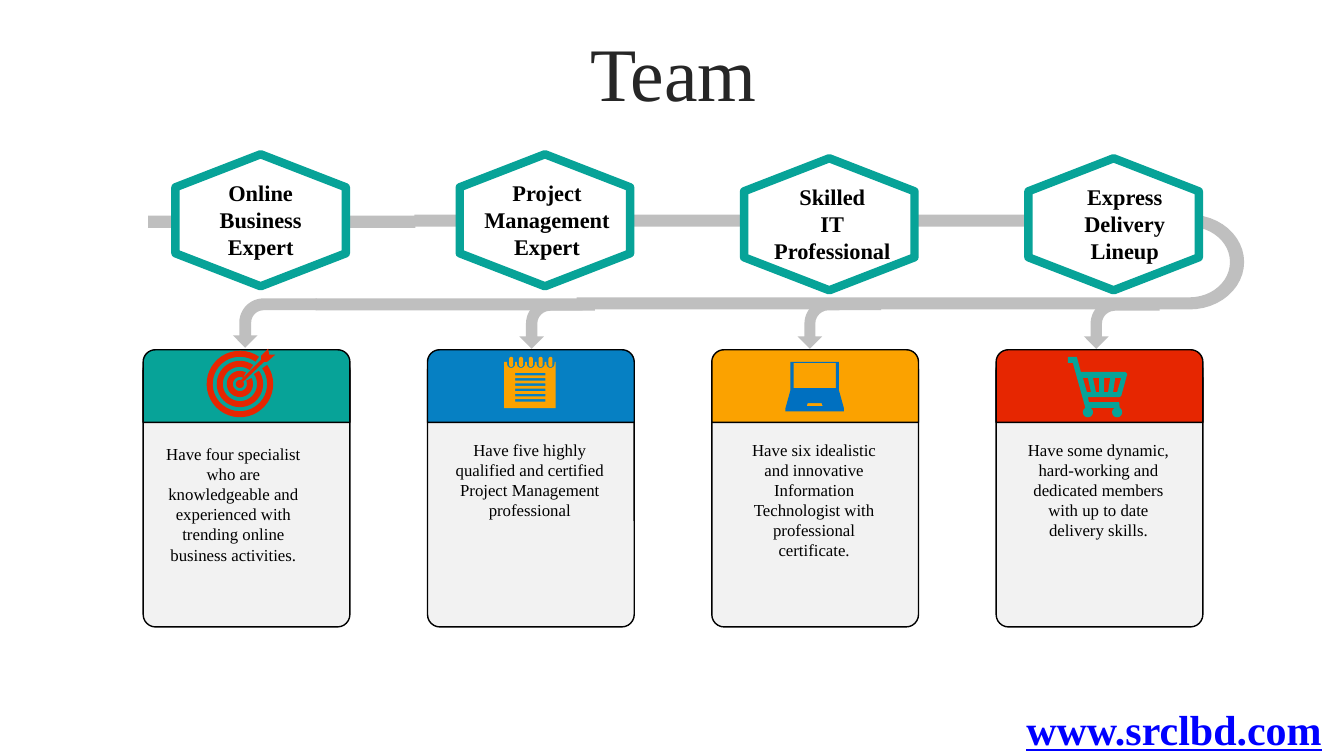
"""Build the Team slide: four roles on a ribbon that feeds four cards."""
import math

from pptx import Presentation, util as u
from pptx.dml.color import RGBColor
from pptx.enum import shapes, text

FONT = "Times New Roman"
COLORS = dict(teal="07A398", blue="0680C3", amber="FBA200", red="E62601",
              navy="0070C0", grey="BFBFBF", pale="F2F2F2", white="FFFFFF",
              black="000000", title="262626", link="0000FF")
PITCH = 2.82
CARD_LEFT, CARD_TOP, CARD_W, CARD_H, HEAD_H = 1.42, 3.47, 2.05, 2.75, 0.72
HEX_LEFT, HEX_W, HEX_H = 1.74, 1.69, 1.31
BAND = 0.12


def rgb(name):
    """Return the named colour."""
    return RGBColor.from_string(COLORS[name])


def paint(sp, fill, line=None, width=1):
    """Set a shape's fill and outline and drop its shadow."""
    sp.shadow.inherit = False
    sp.fill.solid()
    sp.fill.fore_color.rgb = rgb(fill)
    if line:
        sp.line.color.rgb = rgb(line)
        sp.line.width = u.Pt(width)
    else:
        sp.line.fill.background()
    return sp


def preset(s, kind, x, y, w, h, fill, line=None, width=1, adj=()):
    """Add a preset shape in the given box."""
    sp = s.shapes.add_shape(kind, *map(u.Inches, (x, y, w, h)))
    for i, value in enumerate(adj):
        sp.adjustments[i] = value
    return paint(sp, fill, line, width)


def outline(s, x, y, contours, fill, line=None):
    """Draw closed contours whose points are relative to x, y."""
    fb = None
    for contour in contours:
        start, *rest = [(u.Inches(x + a), u.Inches(y + b)) for a, b in contour]
        if fb is None:
            fb = s.shapes.build_freeform(*start, scale=1.0)
        else:
            fb.move_to(*start)
        fb.add_line_segments(rest, close=True)
    return paint(fb.convert_to_shape(), fill, line)


def arc(cx, cy, rx, ry, a0, a1, n=24):
    """Return points on an ellipse between two angles in degrees."""
    angles = [math.radians(a0 + (a1 - a0) * i / n) for i in range(n + 1)]
    return [(cx + rx * math.cos(a), cy + ry * math.sin(a)) for a in angles]


def rect(x, y, w, h):
    """Return the corners of a rectangle."""
    return [(x, y), (x + w, y), (x + w, y + h), (x, y + h)]


def label(s, x, y, w, h, lines, size, color="black", bold=None,
          align=text.PP_ALIGN.CENTER):
    """Add a wrapped text box with one paragraph per line."""
    tf = s.shapes.add_textbox(*map(u.Inches, (x, y, w, h))).text_frame
    tf.word_wrap = True
    tf.auto_size = text.MSO_AUTO_SIZE.SHAPE_TO_FIT_TEXT
    tf.text = lines
    for p in tf.paragraphs:
        p.alignment = align
        p.font.name, p.font.size, p.font.bold = FONT, u.Pt(size), bold
        p.font.color.rgb = rgb(color)
    return tf


def target():
    """Return the contours of a target hit by an arrow."""
    cx, cy = 0.33, 0.35
    rings = [arc(cx, cy, r, r, gap - 45, 315 - gap, 40)
             + arc(cx, cy, r - 0.06, r - 0.06, 315 - gap, gap - 45, 40)
             for r, gap in ((0.33, 10), (0.23, 10), (0.13, 18))]
    arrow = [(0.61, 0), (0.62, 0.06), (0.68, 0.06), (0.6, 0.13), (0.57, 0.13),
             (0.36, 0.33), *arc(cx, cy, 0.04, 0.04, -20, 285),
             (0.54, 0.11), (0.54, 0.07)]
    return rings + [arrow]


def notepad():
    """Return the contours of a ring-bound notepad."""
    edge, pills = [(0, 0.05)], []
    for i in range(5):
        x = 0.07 + 0.0975 * i
        edge += [(x - 0.04, 0.05), *arc(x, 0.07, 0.04, 0.04, 180, 0),
                 (x + 0.04, 0.05)]
        pills.append(arc(x, 0.02, 0.02, 0.02, 180, 360, 8)
                     + arc(x, 0.08, 0.02, 0.02, 0, 180, 8))
    edge += [(0.51, 0.05), (0.51, 0.51), (0, 0.51)]
    rules = [rect(0.11, 0.16 + 0.052 * i, 0.3, 0.025) for i in range(6)]
    return [edge] + rules + pills


def laptop():
    """Return the contours of a laptop."""
    body = [(0.05, 0), (0.53, 0), (0.53, 0.28), (0.58, 0.46), (0.58, 0.49),
            (0, 0.49), (0, 0.46), (0.05, 0.28)]
    pad = [(0.22, 0.41), (0.36, 0.41), (0.37, 0.44), (0.21, 0.44)]
    return [body, rect(0.08, 0.01, 0.42, 0.25), pad]


def cart():
    """Return the contours of a shopping cart."""
    body = [(0, 0), (0.09, 0), (0.13, 0.15), (0.57, 0.15), (0.59, 0.17),
            (0.53, 0.39), (0.51, 0.4), (0.2, 0.4), (0.21, 0.45), (0.51, 0.45),
            *arc(0.49, 0.55, 0.05, 0.05, -60, 240),
            *arc(0.2, 0.55, 0.05, 0.05, -60, 240), (0.05, 0.06), (0, 0.06)]
    slots = [(0.15, 0.2, 0.19, 0.23), (0.25, 0.31, 0.28, 0.31),
             (0.36, 0.42, 0.36, 0.4), (0.47, 0.53, 0.45, 0.49)]
    return [body] + [[(a, 0.21), (b, 0.21), (d, 0.35), (c, 0.35)]
                     for a, b, c, d in slots]


ROLES = [
    ("Online Business Expert", 1.53, 0, "teal", target, "red", (0.63, -0.01),
     "Have four specialist who are knowledgeable and experienced with "
     "trending online business activities.", (0.05, 0.88, 1.31)),
    ("Project Management Expert", 1.53, 0.02, "blue", notepad, "amber",
     (0.76, 0.07), "Have five highly qualified and certified Project "
     "Management professional", (0.17, 0.84, 0.91)),
    ("Skilled\nIT\nProfessional", 1.57, 0.03, "amber", laptop, "navy",
     (0.73, 0.12), "Have six idealistic and innovative Information "
     "Technologist with professional certificate.", (0.17, 0.84, 1.31)),
    ("Express Delivery Lineup", 1.57, 0.11, "red", cart, "teal", (0.71, 0.07),
     "Have some dynamic, hard-working and dedicated members with up to date "
     "delivery skills.", (0.17, 0.84, 1.11)),
]
ARROWS = [(2.48, 2.79, 0.83, 0.24), (5.28, 2.84, 0.75, 0.23),
          (8.08, 2.8, 0.83, 0.22), (10.88, 2.84, 0.75, 0.23)]


def ribbon(s, x, y, w, h):
    """Draw the band that turns back at the right, and its four arrows."""
    for left, top in ((1.47, 2.14), (3.13, 2.96)):
        preset(s, shapes.MSO_SHAPE.RECTANGLE, left, top, 2.65, BAND, "grey")
    rx, ry = 0.54, h / 2
    turn = w - rx
    band = [(0, 0), *arc(turn, ry, rx, ry, -90, 90), (1.61, h),
            (1.61, h - BAND), *arc(turn, ry, rx - 0.14, ry - BAND, 90, -90),
            (0, BAND)]
    outline(s, x, y, [band], "grey")
    for left, top, length, thick in ARROWS:
        sp = preset(s, shapes.MSO_SHAPE.BENT_ARROW, left, top, 0.49, length,
                    "grey", adj=(thick, 0.25, 0.25, 0.49))
        sp.rotation = 270
        sp.element.spPr.xfrm.set("flipH", "1")


def hexagon(s, x, y, role, shift):
    """Draw a pointed-top hexagon with its role."""
    inset = (HEX_W - HEX_H) / 2
    sp = preset(s, shapes.MSO_SHAPE.HEXAGON, x + inset, y - inset, HEX_H,
                HEX_W, "white", "teal", 6)
    sp.rotation = 270
    label(s, x + shift, y + 0.2, HEX_W, 0.91, role, 16, bold=True)


def card(s, x, y, color, icon, icon_color, icon_at, words, words_at):
    """Draw a card with a coloured head, an icon and a description."""
    preset(s, shapes.MSO_SHAPE.ROUNDED_RECTANGLE, x, y + 0.08, CARD_W,
           CARD_H - 0.08, "pale", "black", adj=(0.06,))
    r = 0.12
    head = [*arc(r, r, r, r, 180, 270, 8),
            *arc(CARD_W - r, r, r, r, 270, 360, 8), (CARD_W, HEAD_H), (0, HEAD_H)]
    outline(s, x, y, [head], color, "black")
    outline(s, x + icon_at[0], y + icon_at[1], icon(), icon_color)
    dx, dy, h = words_at
    label(s, x + dx, y + dy, 1.69, h, words, 12)


def title(s, x, y, w, h, words):
    """Move and format the title placeholder."""
    sp = s.shapes.title
    sp.left, sp.top, sp.width, sp.height = map(u.Inches, (x, y, w, h))
    tf = sp.text_frame
    tf.text = words
    tf.auto_size = text.MSO_AUTO_SIZE.NONE
    tf.vertical_anchor = text.MSO_ANCHOR.MIDDLE
    p = tf.paragraphs[0]
    p.alignment, p.line_spacing = text.PP_ALIGN.CENTER, 0.9
    p.font.name, p.font.size = FONT, u.Pt(54)
    p.font.color.rgb = rgb("title")


def main():
    """Build and save the slide."""
    prs = Presentation()
    prs.slide_width, prs.slide_height = u.Inches(13.33), u.Inches(7.5)
    s = prs.slides.add_slide(prs.slide_layouts[5])
    title(s, 0.35, 0.37, 12.66, 0.79, "Team")
    ribbon(s, 4.11, 2.13, 8.23, 0.94)
    for i, (role, top, shift, *parts) in enumerate(ROLES):
        hexagon(s, HEX_LEFT + i * PITCH, top, role, shift)
        card(s, CARD_LEFT + i * PITCH, CARD_TOP, *parts)
    tf = label(s, 10.08, 6.93, 3.13, 0.61, "www.srclbd.com", 30, "link", True,
               text.PP_ALIGN.RIGHT)
    tf.paragraphs[0].font.underline = True
    prs.save("out.pptx")


if __name__ == "__main__":
    main()
